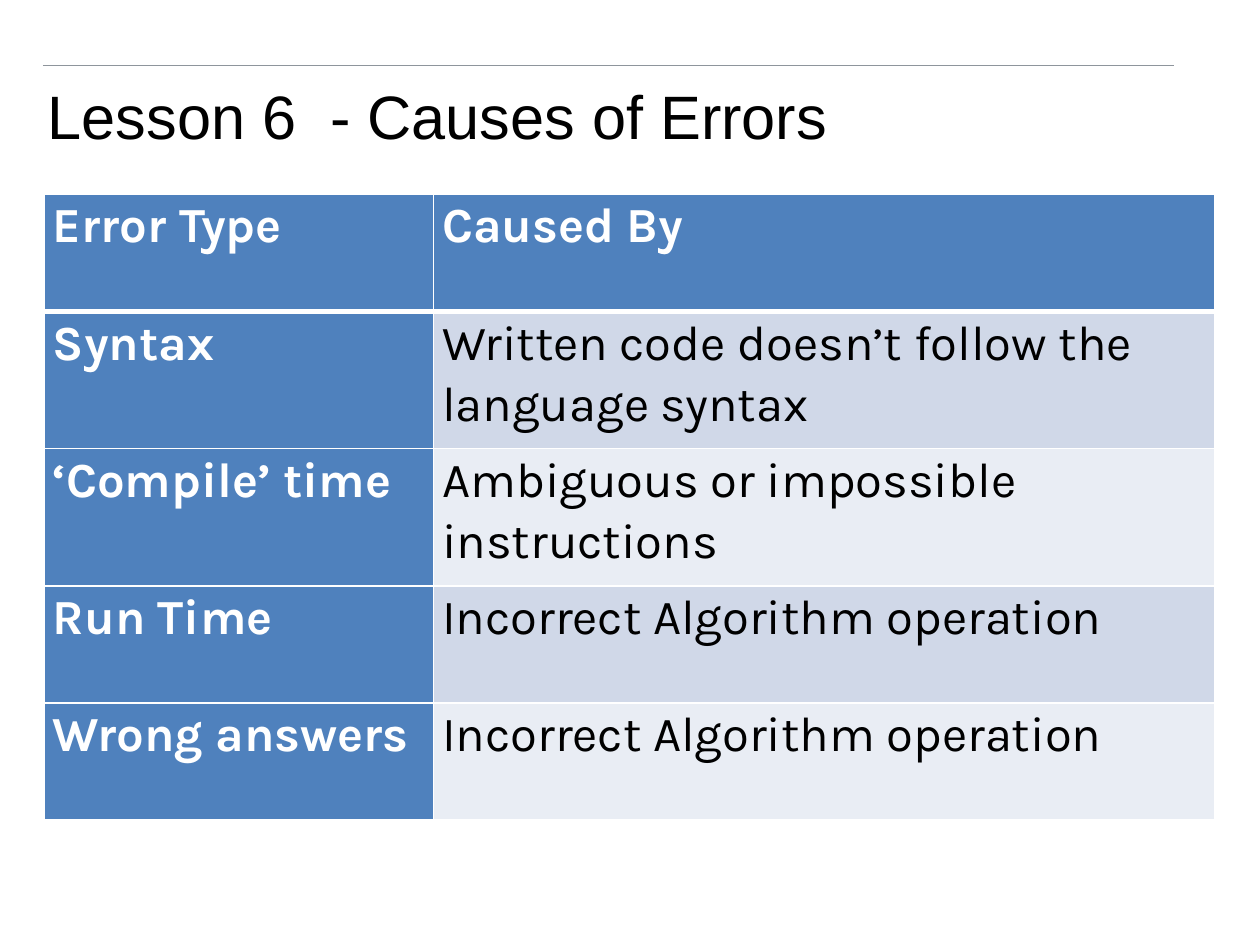
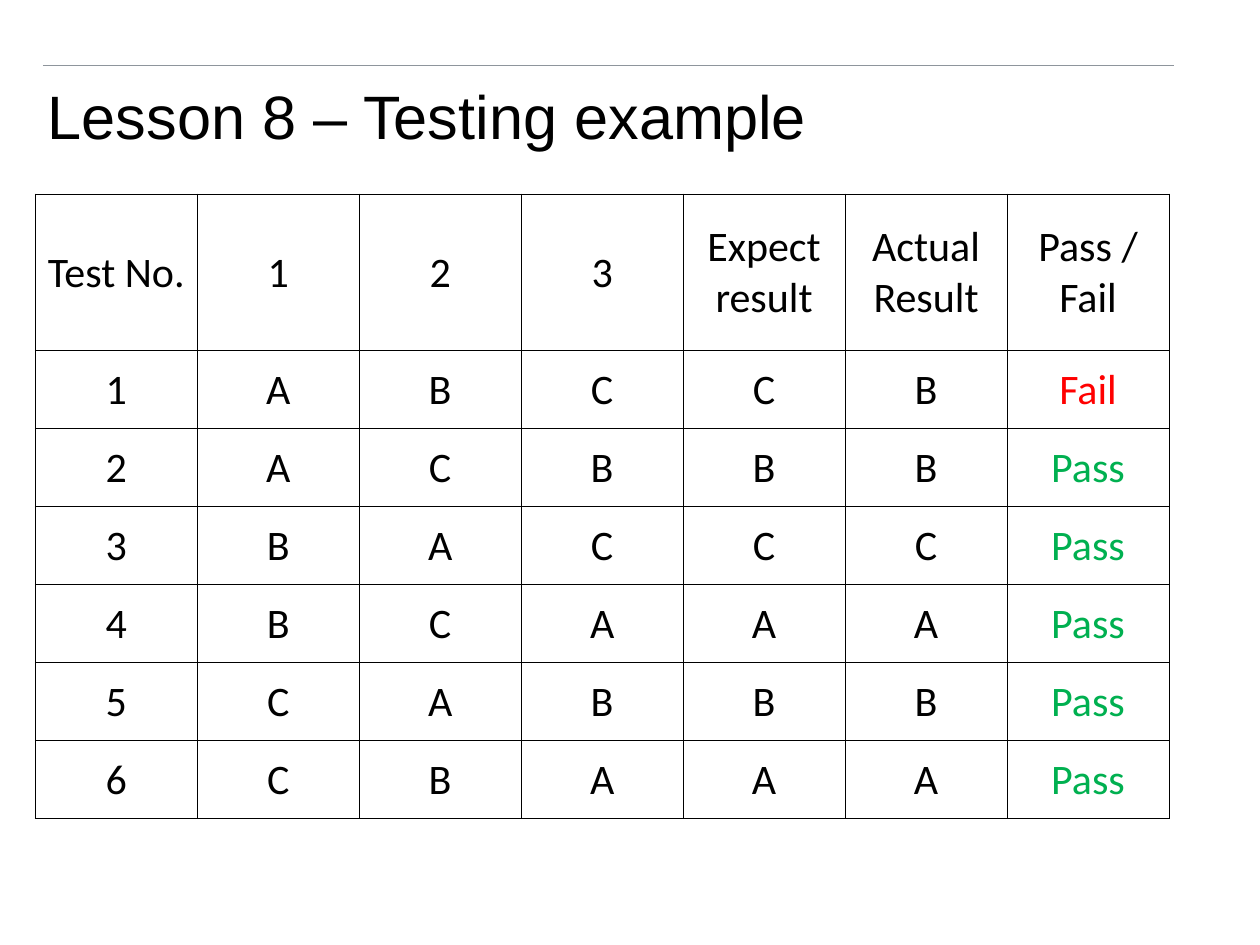
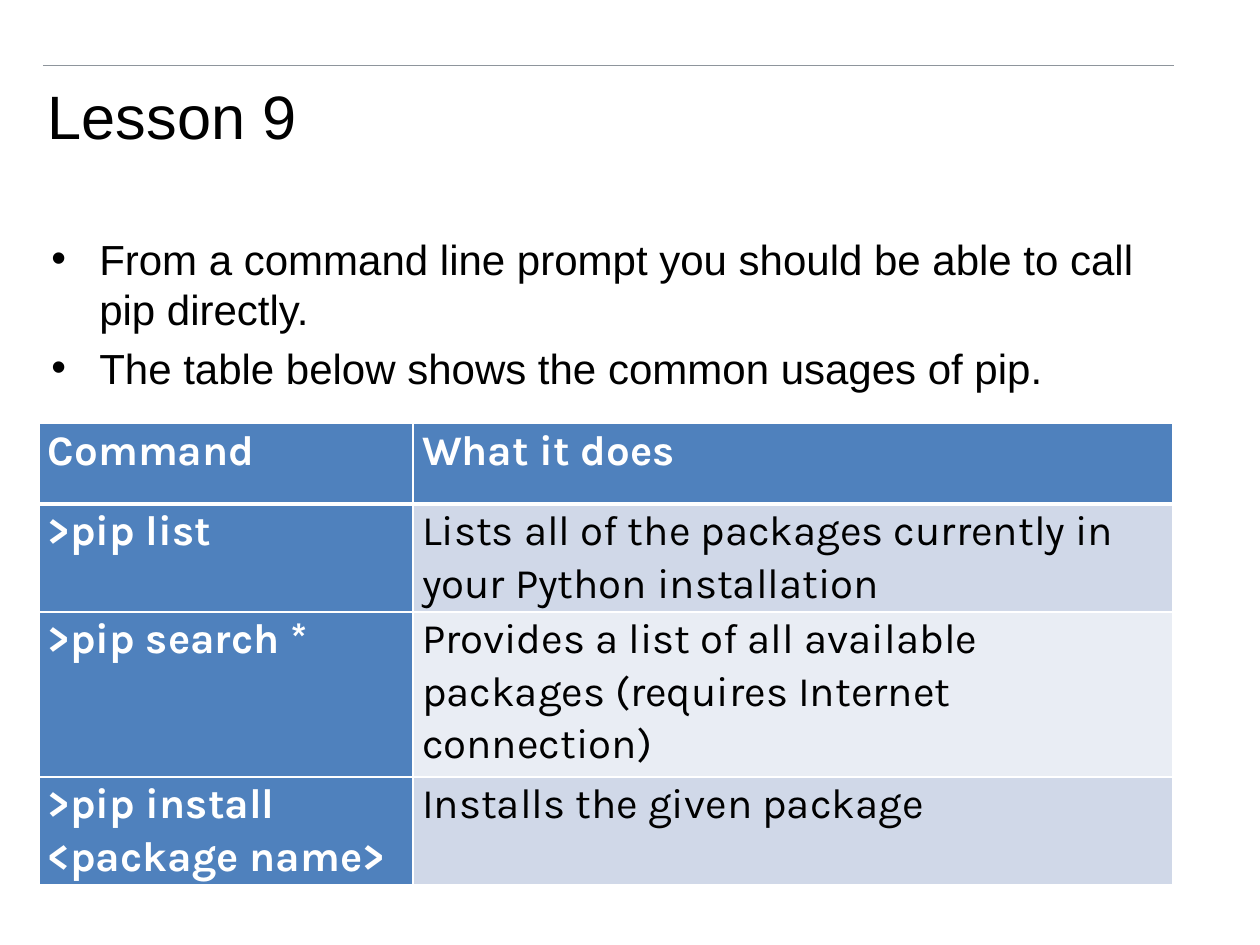
from lxml import etree
from pptx import Presentation
from pptx.dml.color import RGBColor
from pptx.enum.shapes import MSO_CONNECTOR
from pptx.enum.text import MSO_ANCHOR, PP_ALIGN
from pptx.oxml.ns import qn
from pptx.util import Inches, Pt

STRAIGHT = MSO_CONNECTOR.STRAIGHT
MIDDLE, TOP = MSO_ANCHOR.MIDDLE, MSO_ANCHOR.TOP
CENTER, LEFT = PP_ALIGN.CENTER, PP_ALIGN.LEFT

rgb = RGBColor.from_string
BLACK, WHITE = "000000", "FFFFFF"
RULE_GREY = "8E959C"
HEADER_BLUE = "4F81BD"
BANDS = ["D0D8E8", "E9EDF4"]
RESULT_COLORS = {"Fail": "FF0000", "Pass": "00B050"}

prs = Presentation()
prs.slide_width, prs.slide_height = Inches(10), Inches(7.5)


def add_lesson_slide(title):
    """Add a slide with the grey rule and the lesson title."""
    slide = prs.slides.add_slide(prs.slide_layouts[6])
    rule = slide.shapes.add_connector(
        STRAIGHT, Inches(0.34), Inches(0.52), Inches(9.32), Inches(0.52))
    rule.line.color.rgb = rgb(RULE_GREY)
    rule.line.width = Pt(0.75)
    etree.SubElement(rule._element.spPr, qn("a:effectLst"))

    frame = slide.shapes.add_textbox(
        Inches(0.28), Inches(0.29), Inches(9), Inches(1.25)).text_frame
    frame.word_wrap = True
    frame.vertical_anchor = MIDDLE
    run = frame.paragraphs[0].add_run()
    run.text = title
    run.font.size, run.font.name = Pt(35), "Arial"
    run.font.color.rgb = rgb(BLACK)
    return slide


def add_grid(slide, left, top, widths, heights, rows, size, banded):
    """Add a table: blue heads with banded rows, or plain centred cells in black lines."""
    table = slide.shapes.add_table(
        len(rows), len(widths), Inches(left), Inches(top),
        Inches(sum(widths)), Inches(sum(heights))).table
    table.first_row = table.horz_banding = False
    for column, width in zip(table.columns, widths):
        column.width = Inches(width)
    for row, height in zip(table.rows, heights):
        row.height = Inches(height)

    side_margin = Inches(0.07 if banded else 0.01)
    border_color, border_width = (WHITE, 1) if banded else (BLACK, 0.5)
    for r, texts in enumerate(rows):
        for c, text in enumerate(texts):
            cell = table.cell(r, c)
            is_head = banded and (r == 0 or c == 0)
            cell.margin_left = cell.margin_right = side_margin
            cell.margin_top = Inches(0 if banded else 0.01)
            cell.margin_bottom = 0
            cell.vertical_anchor = TOP if banded else MIDDLE
            if banded:
                cell.fill.solid()
                cell.fill.fore_color.rgb = rgb(HEADER_BLUE if is_head else BANDS[(r - 1) % 2])
            else:
                cell.fill.background()

            paragraph = cell.text_frame.paragraphs[0]
            paragraph.alignment = LEFT if banded else CENTER
            if banded:
                paragraph.line_spacing = 1.07
            run = paragraph.add_run()
            run.text = text
            run.font.size = Pt(size)
            run.font.name = "Karla" if banded else "Calibri"
            run.font.bold = is_head
            run.font.color.rgb = rgb(WHITE if is_head else RESULT_COLORS.get(text, BLACK))

            properties = cell._tc.get_or_add_tcPr()
            for position, side in enumerate("LRTB"):
                under_header = banded and (r, side) in [(0, "B"), (1, "T")]
                border = etree.Element(
                    qn("a:ln" + side), w=str(Pt(3 if under_header else border_width)))
                fill = etree.SubElement(border, qn("a:solidFill"))
                etree.SubElement(fill, qn("a:srgbClr"), val=border_color)
                properties.insert(position, border)


# Lesson 6
errors_slide = add_lesson_slide("Lesson 6  - Causes of Errors")
error_causes = [
    ["Error Type", "Caused By"],
    ["Syntax", "Written code doesn’t follow the language syntax"],
    ["‘Compile’ time", "Ambiguous or impossible instructions"],
    ["Run Time", "Incorrect Algorithm operation"],
    ["Wrong answers", "Incorrect Algorithm operation"],
]
add_grid(errors_slide, 0.35, 1.54, [3.09, 6.2], [0.93, 1.09, 1.09, 0.93, 0.93],
         error_causes, size=28, banded=True)

# Lesson 8
testing_slide = add_lesson_slide("Lesson 8 – Testing example")
test_results = [
    ["Test No.", "1", "2", "3", "Expect result", "Actual Result", "Pass / Fail"],
    ["1", "A", "B", "C", "C", "B", "Fail"],
    ["2", "A", "C", "B", "B", "B", "Pass"],
    ["3", "B", "A", "C", "C", "C", "Pass"],
    ["4", "B", "C", "A", "A", "A", "Pass"],
    ["5", "C", "A", "B", "B", "B", "Pass"],
    ["6", "C", "B", "A", "A", "A", "Pass"],
]
add_grid(testing_slide, 0.28, 1.54, [9 / 7] * 7, [1.24] + [0.62] * 6,
         test_results, size=24, banded=False)

# Lesson 9
pip_slide = add_lesson_slide("Lesson 9")
pip_notes = [
    "From a command line prompt you should be able to call pip directly.",
    "The table below shows the common usages of pip.",
]
body = pip_slide.shapes.add_textbox(
    Inches(0.31), Inches(1.8), Inches(9), Inches(5.62)).text_frame
body.word_wrap = True
for i, note in enumerate(pip_notes):
    paragraph = body.add_paragraph() if i else body.paragraphs[0]
    paragraph.space_before = Pt(4.8)
    properties = paragraph._p.get_or_add_pPr()
    properties.set("marL", str(Inches(0.38)))
    properties.set("indent", str(Inches(-0.38)))
    etree.SubElement(properties, qn("a:buFont"), typeface="Arial")
    etree.SubElement(properties, qn("a:buChar"), char="•")
    run = paragraph.add_run()
    run.text = note
    run.font.size, run.font.name = Pt(24), "Arial"
    run.font.color.rgb = rgb(BLACK)

pip_commands = [
    ["Command", "What it does"],
    [">pip list", "Lists all of the packages currently in your Python installation"],
    [">pip search *", "Provides a list of all available packages (requires Internet connection)"],
    [">pip install <package name>", "Installs the given package"],
]
add_grid(pip_slide, 0.31, 3.36, [2.97, 6.03], [0.64, 0.84, 1.31, 0.84],
         pip_commands, size=24, banded=True)

prs.save("out.pptx")
